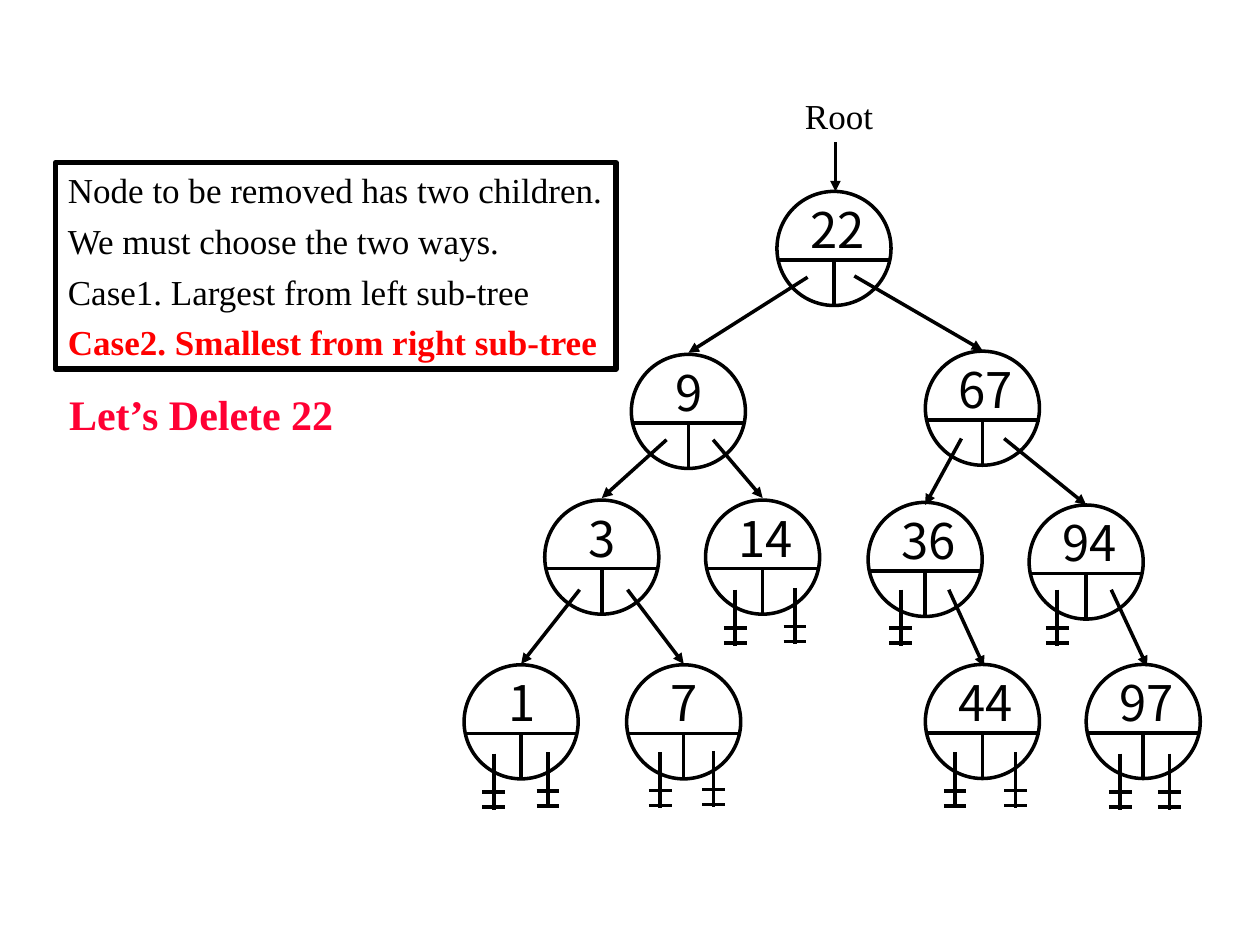
import pptx
import pptx.dml.color
import pptx.enum.shapes
import pptx.enum.text
import pptx.oxml.ns
import pptx.util
from lxml import etree

Pt = pptx.util.Pt
Kind = pptx.enum.shapes.MSO_SHAPE
HUES = {"ink": "000000", "case": "FF0000", "task": "FF0033"}
BODY = {"name": "Times New Roman", "size": Pt(20)}
TASK = {"name": "Times New Roman", "size": Pt(24), "bold": True}
KEY = {"name": "Noto Sans CJK KR", "size": Pt(28)}
FRAME = {
    "word_wrap": False,
    "auto_size": pptx.enum.text.MSO_AUTO_SIZE.SHAPE_TO_FIT_TEXT,
    "vertical_anchor": pptx.enum.text.MSO_ANCHOR.TOP,
}
SIZE = 65.2
SPLIT = 39.2

# key, centre x, top
NODES = [
    (22, 476.6, 109.4),
    (9, 393.4, 202.5), (67, 561.4, 200.7),
    (3, 343.9, 285.8), (14, 435.8, 285.8), (36, 528.7, 287.1), (94, 620.7, 288.6),
    (1, 297.8, 379.9), (7, 390.7, 379.9), (44, 561.4, 379.7), (97, 653.3, 379.7),
]
# from x, y, to x, y
ARROWS = [
    (477.4, 81.4, 477.4, 109.4),
    (461.5, 158.4, 393.4, 201.6), (488.2, 157.7, 561.4, 200.2),
    (380.9, 251.3, 343.9, 284.6), (407.5, 251.3, 435.8, 284.6),
    (549.4, 250.6, 528.7, 288.5), (573.8, 250.6, 620.7, 288.5),
    (331.2, 337, 297.8, 379.4), (358.6, 337, 390.7, 379.4),
    (542.2, 337, 562.3, 380.9), (635, 337, 655.5, 380.9),
]
# x, top
NULLS = [
    (420.1, 337), (454.3, 336), (514.8, 337), (604.1, 337),
    (282.2, 430.6), (313.2, 430), (377.3, 429.8), (407.7, 429.1),
    (545.8, 430), (580.3, 429.8), (640.1, 430.6), (668.2, 430.6),
]


def tint(name):
    return pptx.dml.color.RGBColor.from_string(HUES[name])


def style(obj, values):
    for name, value in values.items():
        setattr(obj, name, value)


def outline(shape, width):
    shape.shadow.inherit = False
    shape.fill.background()
    shape.line.color.rgb = tint("ink")
    shape.line.width = Pt(width)


def write(shape, rows, font, gap=0):
    """Fill a shape with rows of (text, hue, bold)."""
    frame = shape.text_frame
    style(frame, FRAME)
    for i, (text, hue, bold) in enumerate(rows):
        para = frame.paragraphs[0] if i == 0 else frame.add_paragraph()
        para.alignment = pptx.enum.text.PP_ALIGN.LEFT
        para.space_before = Pt(gap)
        run = para.add_run()
        run.text = text
        style(run.font, {"bold": bold, **font})
        run.font.color.rgb = tint(hue)


def label(shapes, box, text, font, hue="ink"):
    shape = shapes.add_textbox(*map(Pt, box))
    write(shape, [(text, hue, False)], font)


def stroke(shapes, ends, arrow=False):
    line = shapes.add_connector(
        pptx.enum.shapes.MSO_CONNECTOR.STRAIGHT, *map(Pt, ends))
    line.line.color.rgb = tint("ink")
    line.line.width = Pt(2)
    qn = pptx.oxml.ns.qn
    if arrow:
        etree.SubElement(line.line._get_or_add_ln(), qn("a:tailEnd"), type="triangle")
    etree.SubElement(line._element.spPr, qn("a:effectLst"))


def node(shapes, key, mid, top):
    """Draw a circle with its key above two pointer cells."""
    parts = shapes.add_group_shape().shapes
    left = mid - SIZE / 2
    ring = parts.add_shape(Kind.OVAL, *map(Pt, (left, top, SIZE, SIZE)))
    outline(ring, 2)
    split = top + SPLIT
    stroke(parts, (left, split, left + SIZE, split))
    stroke(parts, (mid, top + SIZE, mid, split))
    width = 46 if key > 9 else 37.4
    label(parts, (left + 11.8, top + 1, width, 41), f"{key:>2}", KEY)


def null(shapes, x, top):
    """Draw the barred stem of an empty pointer."""
    parts = shapes.add_group_shape().shapes
    stroke(parts, (x, top, x, top + 32))
    for drop in (22, 30.5):
        stroke(parts, (x - 6.5, top + drop, x + 6.5, top + drop))


def rules(shapes):
    box = shapes.add_shape(Kind.RECTANGLE, *map(Pt, (31.7, 92.9, 320.4, 118.1)))
    outline(box, 3)
    write(box, [
        ("Node to be removed has two children.", "ink", False),
        ("We must choose the two ways.", "ink", False),
        ("Case1. Largest from left sub-tree", "ink", False),
        ("Case2. Smallest from right sub-tree", "case", True),
    ], BODY, gap=5)


def main():
    deck = pptx.Presentation()
    style(deck, {"slide_width": Pt(720), "slide_height": Pt(540)})
    shapes = deck.slides.add_slide(deck.slide_layouts[6]).shapes
    rules(shapes)
    label(shapes, (32.4, 218.2, 166.3, 36), "Let’s Delete 22", TASK, "task")
    label(shapes, (452.9, 50.4, 53.3, 31.7), "Root", BODY)
    for item in NODES:
        node(shapes, *item)
    for ends in ARROWS:
        stroke(shapes, ends, arrow=True)
    for spot in NULLS:
        null(shapes, *spot)
    deck.save("out.pptx")


if __name__ == "__main__":
    main()
